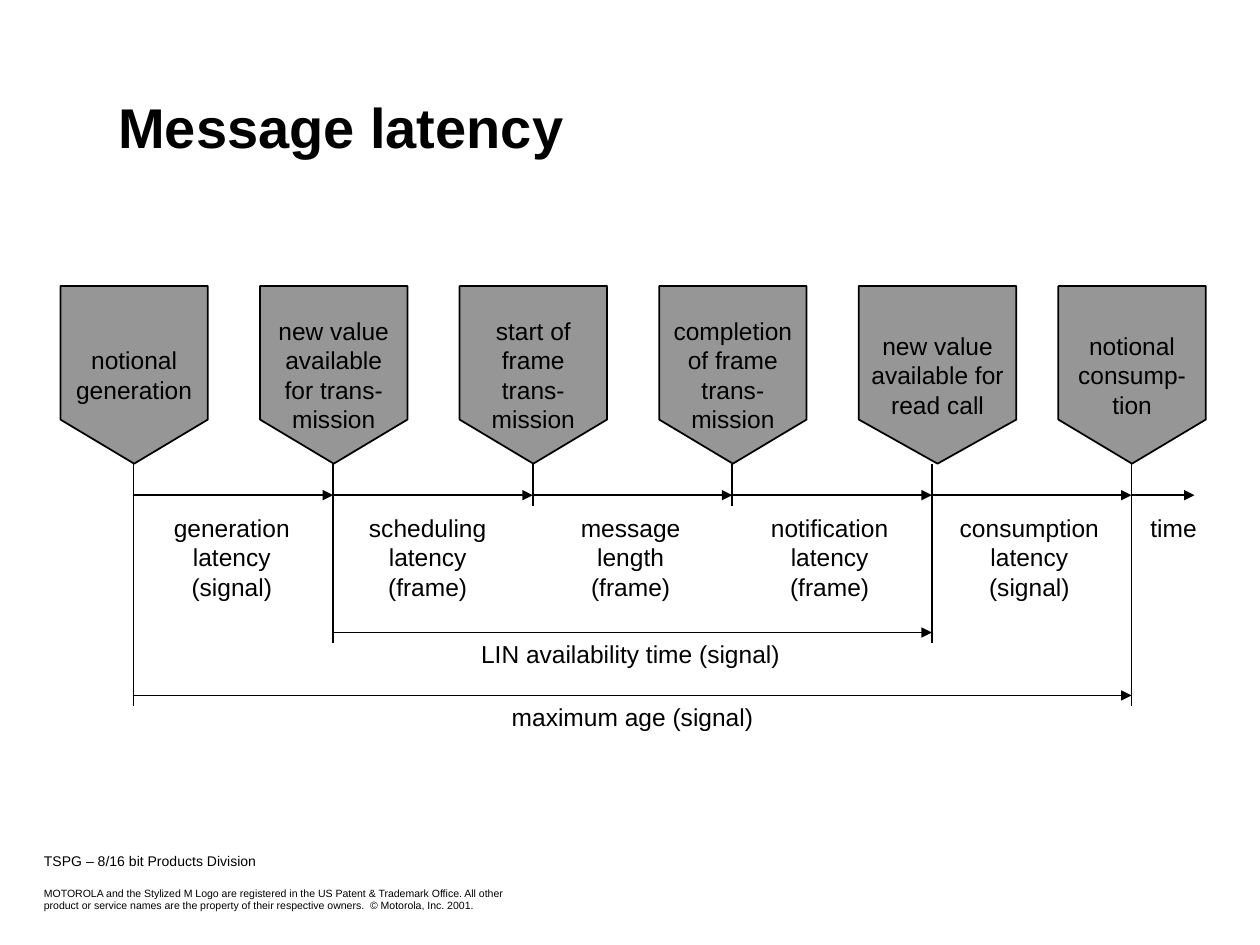
from dataclasses import dataclass

import lxml.etree
import pptx
import pptx.dml.color
import pptx.enum.shapes
import pptx.enum.text
import pptx.oxml.ns
import pptx.util

Inches = pptx.util.Inches
Pt = pptx.util.Pt
Align = pptx.enum.text.PP_ALIGN
Anchor = pptx.enum.text.MSO_ANCHOR

COLORS = {"ink": "000000", "sign": "969696"}
FONT = "Arial"
FIRST_EVENT = 1.06
EVENT_STEP = 7.92 / 5
SIGN_TOP, SIGN_SHOULDER, SIGN_TIP = 2.27, 3.33, 3.68
SIGN_HALF = 0.58
TIME_AXIS = 3.93


@dataclass
class Event:
    lines: list[str]
    post_end: float
    sign_width: float = 1.17


@dataclass
class Label:
    lines: list[str]
    left: float
    top: float
    width: float
    height: float


@dataclass
class Span:
    first: int
    last: int
    top: float
    label: Label


EVENTS = [
    Event(["notional", "generation"], 5.6),
    Event(["new value available for trans-mission"], 5.1),
    Event(["start of frame trans-mission"], 4.02),
    Event(["completion of frame trans-mission"], 4.02),
    Event(["new value available for read call"], 5.1, 1.25),
    Event(["notional", "consump-tion"], 5.6),
]

SPANS = [
    Span(0, 1, TIME_AXIS, Label(["generation", "latency", "(signal)"], 1.28, 4.02, 1.12, 0.8)),
    Span(1, 2, TIME_AXIS, Label(["scheduling", "latency", "(frame)"], 2.83, 4.02, 1.13, 0.8)),
    Span(2, 3, TIME_AXIS, Label(["message", "length", "(frame)"], 4.51, 4.02, 0.99, 0.8)),
    Span(3, 4, TIME_AXIS, Label(["notification", "latency", "(frame)"], 6.02, 4.02, 1.13, 0.8)),
    Span(4, 5, TIME_AXIS, Label(["consumption", "latency", "(signal)"], 7.52, 4.02, 1.3, 0.8)),
    Span(1, 4, 5.02, Label(["LIN availability time (signal)"], 3.72, 5.02, 2.57, 0.34)),
    Span(0, 5, 5.52, Label(["maximum age (signal)"], 3.96, 5.52, 2.12, 0.34)),
]

TIME_LABEL = Label(["time"], 9.03, 4.02, 0.57, 0.34)


def rgb(name: str) -> pptx.dml.color.RGBColor:
    return pptx.dml.color.RGBColor.from_string(COLORS[name])


def event_position(index: int) -> float:
    return FIRST_EVENT + index * EVENT_STEP


def add_span(para, text: str, size: float, bold: bool = False) -> None:
    span = para.add_run()
    span.text = text
    span.font.name = FONT
    span.font.size = Pt(size)
    span.font.bold = bold
    span.font.color.rgb = rgb("ink")


def fill_lines(frame, lines: list[str], size: float = 14) -> None:
    for index, line in enumerate(lines):
        para = frame.paragraphs[0] if index == 0 else frame.add_paragraph()
        para.alignment = Align.CENTER
        add_span(para, line, size)


def add_box(page, left: float, top: float, width: float, height: float, wrap: bool):
    box = page.shapes.add_textbox(Inches(left), Inches(top), Inches(width), Inches(height))
    box.text_frame.word_wrap = wrap
    return box.text_frame


def draw_label(page, label: Label) -> None:
    frame = add_box(page, label.left, label.top, label.width, label.height, False)
    frame.margin_left = frame.margin_right = Inches(0.02)
    fill_lines(frame, label.lines)


def draw_line(page, x1: float, y1: float, x2: float, y2: float, arrow: bool = False) -> None:
    line = page.shapes.add_connector(
        pptx.enum.shapes.MSO_CONNECTOR.STRAIGHT, Inches(x1), Inches(y1), Inches(x2), Inches(y2))
    line.line.color.rgb = rgb("ink")
    line.line.width = Pt(1)
    if arrow:
        outline = line.line._get_or_add_ln()
        lxml.etree.SubElement(outline, pptx.oxml.ns.qn("a:tailEnd"), type="triangle")
    lxml.etree.SubElement(line._element.spPr, pptx.oxml.ns.qn("a:effectLst"))


def draw_event(page, event: Event, position: float) -> None:
    left = position - SIGN_HALF
    right = left + event.sign_width
    corners = [(right, SIGN_TOP), (right, SIGN_SHOULDER),
               ((left + right) / 2, SIGN_TIP), (left, SIGN_SHOULDER)]
    builder = page.shapes.build_freeform(Inches(left), Inches(SIGN_TOP))
    builder.add_line_segments([(Inches(x), Inches(y)) for x, y in corners], close=True)
    sign = builder.convert_to_shape()
    sign.shadow.inherit = False
    sign.fill.solid()
    sign.fill.fore_color.rgb = rgb("sign")
    sign.line.color.rgb = rgb("ink")
    sign.line.width = Pt(1)
    frame = sign.text_frame
    frame.word_wrap = True
    frame.vertical_anchor = Anchor.MIDDLE
    frame.margin_left = frame.margin_right = Inches(0.08)
    frame.margin_top = frame.margin_bottom = Inches(0.05)
    fill_lines(frame, event.lines)
    draw_line(page, position, SIGN_TIP, position, event.post_end)


def draw_title(page) -> None:
    frame = add_box(page, 0.84, 0.5, 8.67, 1, True)
    frame.vertical_anchor = Anchor.MIDDLE
    add_span(frame.paragraphs[0], "Message latency", 32, True)


def draw_footer(page) -> None:
    frame = add_box(page, 0.25, 6.72, 4.42, 0.61, True)
    add_span(frame.paragraphs[0], "TSPG – 8/16 bit Products Division", 8)
    para = frame.add_paragraph()
    para.space_before = Pt(9.6)
    add_span(para, "MOTOROLA and the Stylized M Logo are registered in the "
                   "US Patent & Trademark Office. All other ", 6)
    para.add_line_break()
    add_span(para, "product or service names are the property of their "
                   "respective owners.  © Motorola, Inc. 2001.", 6)


def main() -> None:
    deck = pptx.Presentation()
    deck.slide_width = Inches(10)
    deck.slide_height = Inches(7.5)
    page = deck.slides.add_slide(deck.slide_layouts[6])
    draw_footer(page)
    draw_title(page)
    for index, event in enumerate(EVENTS):
        draw_event(page, event, event_position(index))
    for span in SPANS:
        draw_line(page, event_position(span.first), span.top,
                  event_position(span.last), span.top, arrow=True)
        draw_label(page, span.label)
    draw_line(page, event_position(5), TIME_AXIS, 9.48, TIME_AXIS, arrow=True)
    draw_label(page, TIME_LABEL)
    deck.save("out.pptx")


if __name__ == "__main__":
    main()
